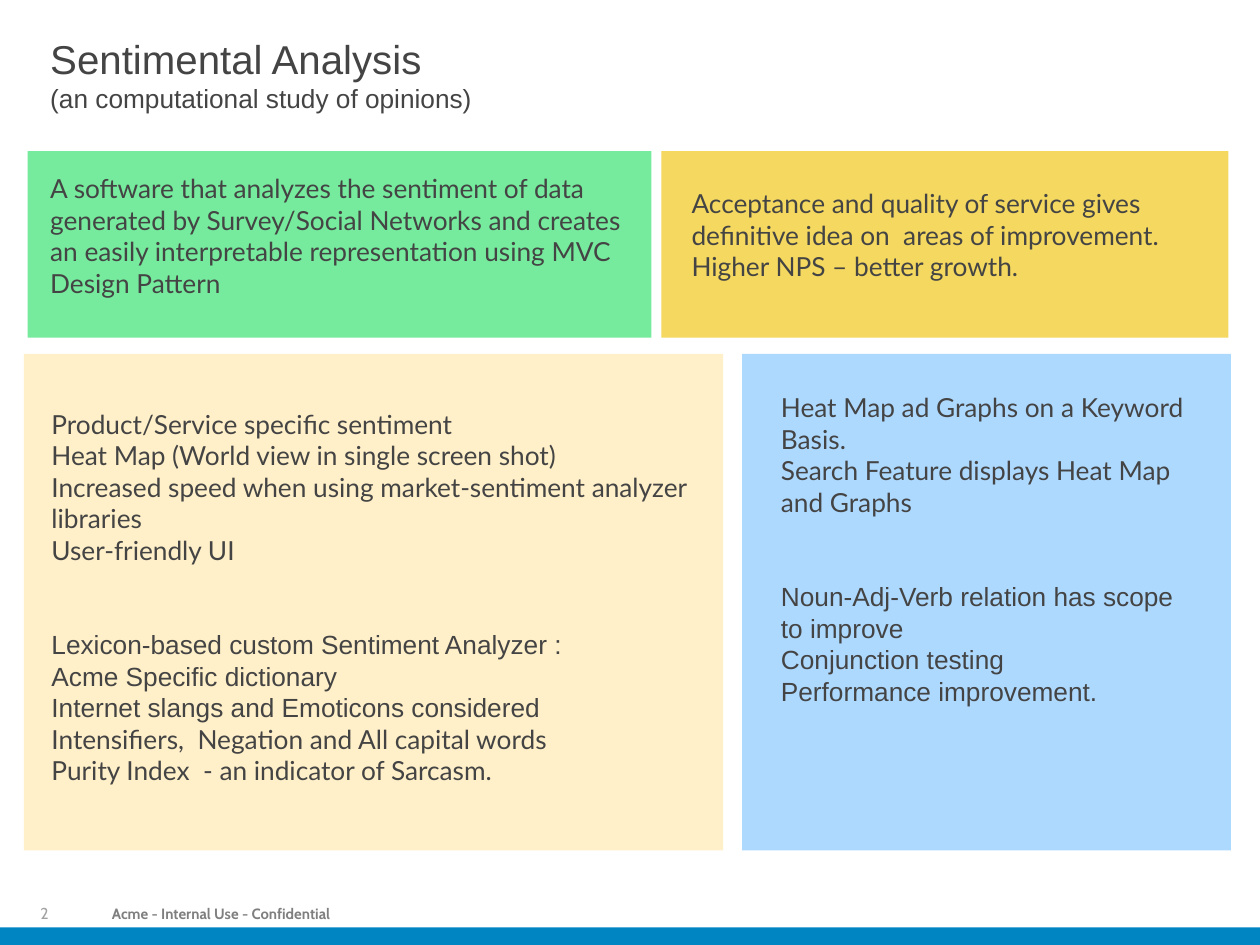
from pptx import Presentation
from pptx.dml.color import RGBColor
from pptx.enum.shapes import MSO_SHAPE as Shape
from pptx.enum.text import MSO_ANCHOR as Anchor
from pptx.util import Inches, Pt

INK = RGBColor(0x44, 0x44, 0x44)
FOOTER_GRAY = RGBColor(0x7F, 0x7F, 0x7F)
NUMBER_GRAY = RGBColor(0xA2, 0xA2, 0xA2)
BAR_BLUE = RGBColor(0x00, 0x85, 0xC3)
GREEN = RGBColor(0x76, 0xEA, 0x9D)
YELLOW = RGBColor(0xF4, 0xD8, 0x60)
CREAM = RGBColor(0xFF, 0xF0, 0xC9)
SKY = RGBColor(0xAE, 0xD9, 0xFF)

BODY_SIZE = 15
LINE_HEIGHT = Pt(18)
GROUP_GAP = Pt(36)


class SlideBuilder:
    """Holds the text style and the current slide."""

    def __init__(self, page):
        self.page = page

    def panel(self, left, top, width, height, color):
        panel = self.page.shapes.add_shape(
            Shape.RECTANGLE, *map(Inches, (left, top, width, height)))
        panel.shadow.inherit = False
        panel.fill.solid()
        panel.fill.fore_color.rgb = color
        panel.line.fill.background()

    def frame(self, left, top, width, height):
        box = self.page.shapes.add_textbox(
            *map(Inches, (left, top, width, height)))
        box.text_frame.word_wrap = True
        return box.text_frame

    def set_text(self, para, text, font="Lato", size=BODY_SIZE, color=INK, bold=False):
        para.text = text
        para.font.name = font
        para.font.size = Pt(size)
        para.font.color.rgb = color
        para.font.bold = bold

    def title(self, left, top, width, height, heading, subtitle):
        frame = self.frame(left, top, width, height)
        self.set_text(frame.paragraphs[0], heading, "Arial", 23)
        self.set_text(frame.add_paragraph(), subtitle, "Arial")

    def body(self, left, top, width, height, groups):
        """Each group is a list of (font, lines); a gap separates the groups."""
        frame = self.frame(left, top, width, height)
        para = None
        for index, group in enumerate(groups):
            starts_group = index > 0
            for font, lines in group:
                for line in lines:
                    para = frame.add_paragraph() if para else frame.paragraphs[0]
                    self.set_text(para, line, font)
                    if font == "Arial":
                        para.line_spacing = LINE_HEIGHT
                    if starts_group:
                        para.space_before = GROUP_GAP
                        starts_group = False

    def footer(self, number, notice):
        frame = self.frame(0.79, 7.15, 4, 0.22)
        para = frame.paragraphs[0]
        self.set_text(para, notice, "Cabin", 8.5, FOOTER_GRAY, bold=True)
        para.line_spacing = 0.9
        para.space_before = para.space_after = Pt(1)

        frame = self.frame(0.32, 7.19, 0.29, 0.13)
        frame.margin_left = frame.margin_right = 0
        frame.margin_top = frame.margin_bottom = 0
        frame.vertical_anchor = Anchor.MIDDLE
        self.set_text(frame.paragraphs[0], number, "Cabin", 9, NUMBER_GRAY)
        frame.paragraphs[0].line_spacing = 0.9

        self.panel(0, 7.36, 10, 0.14, BAR_BLUE)


def main():
    deck = Presentation()
    deck.slide_width, deck.slide_height = Inches(10), Inches(7.5)
    slide = SlideBuilder(deck.slides.add_slide(deck.slide_layouts[6]))

    # Footer and title
    slide.footer("2", "Acme - Internal Use - Confidential")
    slide.title(0.3, 0.22, 4.08, 0.74, "Sentimental Analysis",
                "(an computational study of opinions)")

    # Top row: what it is, and what it brings
    slide.panel(0.22, 1.2, 4.95, 1.48, GREEN)
    slide.body(0.3, 1.32, 4.78, 1.11, [[("Lato", [
        "A software that analyzes the sentiment of data generated by "
        "Survey/Social Networks and creates an easily interpretable "
        "representation using MVC Design Pattern"])]])
    slide.panel(5.25, 1.2, 4.5, 1.48, YELLOW)
    slide.body(5.39, 1.44, 4.19, 0.86, [[("Lato", [
        "Acceptance and quality of service gives definitive idea on  areas "
        "of improvement.",
        "Higher NPS – better growth."])]])

    # Bottom left: features and analyzer
    slide.panel(0.19, 2.81, 5.55, 3.94, CREAM)
    slide.body(0.31, 3.19, 5.31, 3.43, [
        [("Lato", ["Product/Service specific sentiment",
                   "Heat Map (World view in single screen shot)",
                   "Increased speed when using market-sentiment analyzer libraries",
                   "User-friendly UI"])],
        [("Arial", ["Lexicon-based custom Sentiment Analyzer :",
                    "Acme Specific dictionary",
                    "Internet slangs and Emoticons considered"]),
         ("Lato", ["Intensifiers,  Negation and All capital words",
                   "Purity Index  - an indicator of Sarcasm."])],
    ])

    # Bottom right: results and next steps
    slide.panel(5.89, 2.81, 3.88, 3.94, SKY)
    slide.body(6.1, 3.06, 3.5, 3.43, [
        [("Lato", ["Heat Map ad Graphs on a Keyword Basis.",
                   "Search Feature displays Heat Map and Graphs"])],
        [("Arial", ["Noun-Adj-Verb relation has scope to improve",
                    "Conjunction testing",
                    "Performance improvement."])],
    ])

    deck.save("out.pptx")


if __name__ == "__main__":
    main()
